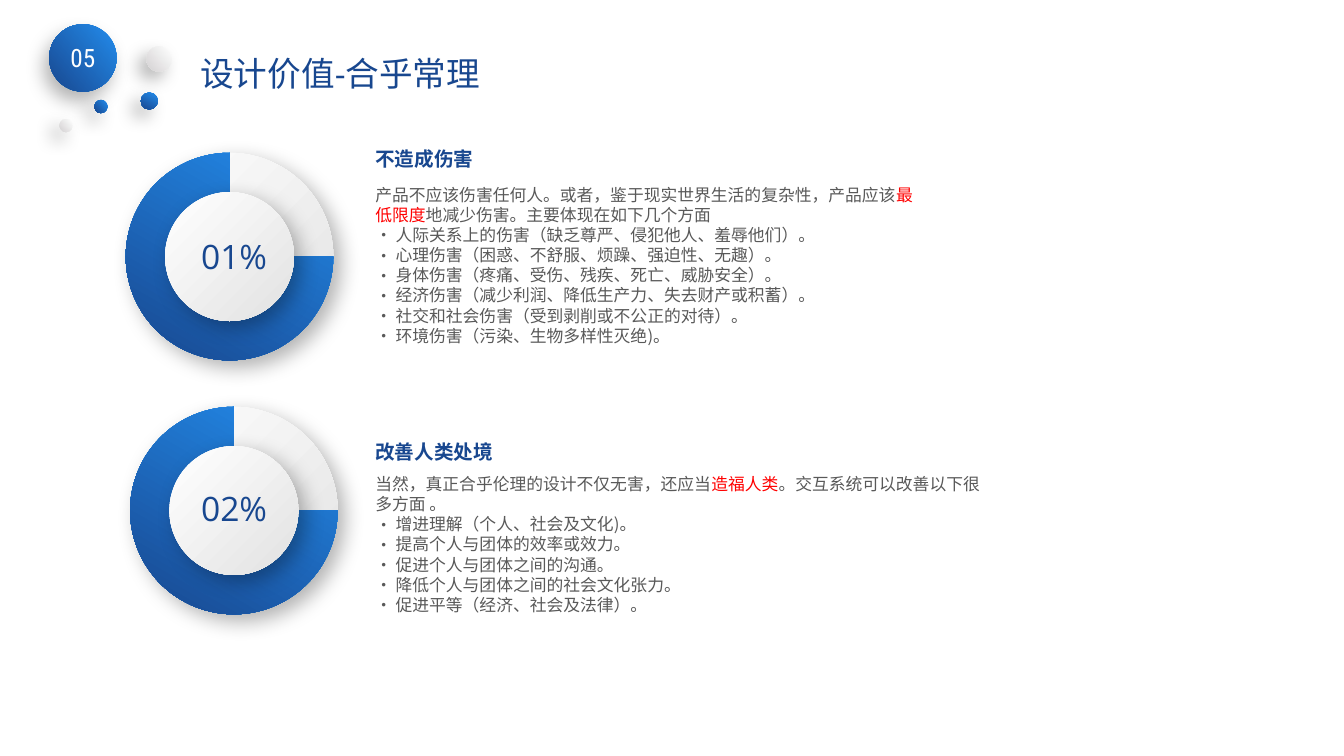
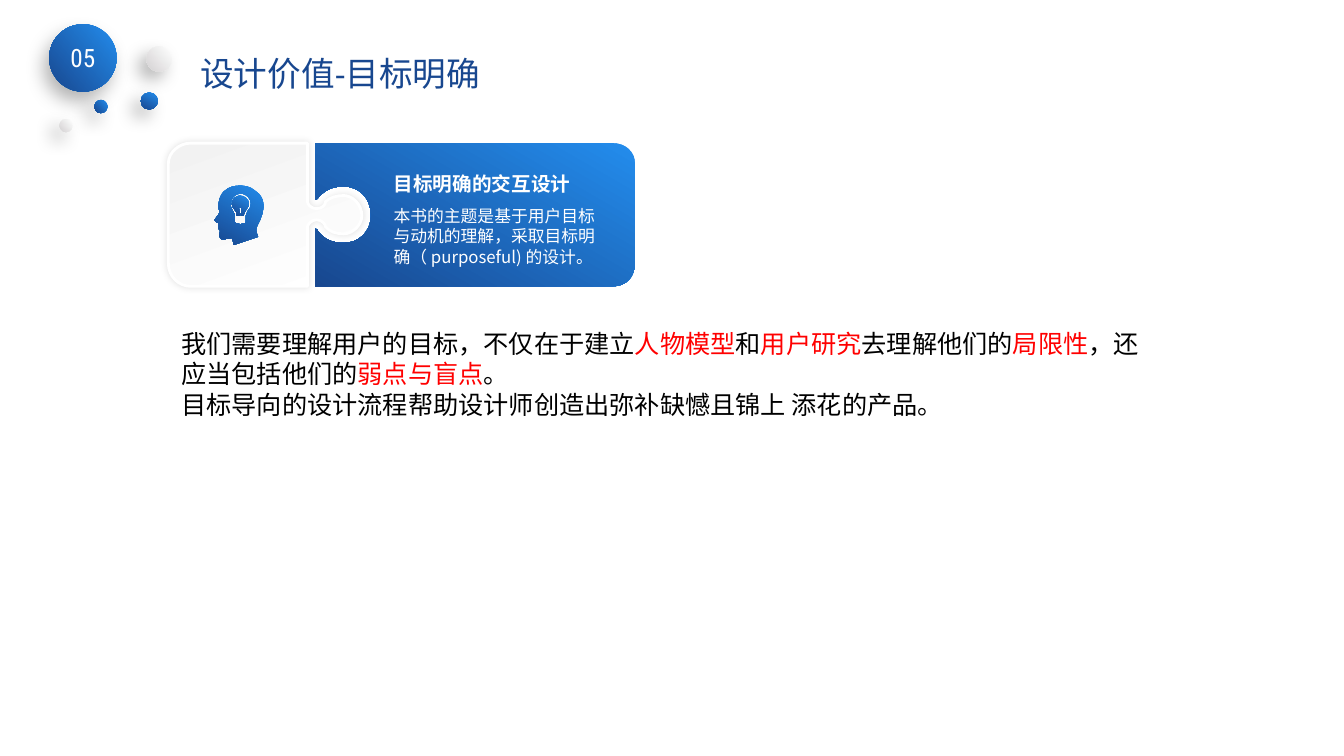
from dataclasses import dataclass

from lxml import etree
from pptx import Presentation
from pptx.dml.color import RGBColor
from pptx.enum.shapes import MSO_SHAPE
from pptx.enum.text import MSO_ANCHOR, PP_ALIGN
from pptx.oxml.ns import qn
from pptx.util import Cm, Pt

OVAL, PIE = MSO_SHAPE.OVAL, MSO_SHAPE.PIE
LEFT, CENTER, MIDDLE = PP_ALIGN.LEFT, PP_ALIGN.CENTER, MSO_ANCHOR.MIDDLE


@dataclass(frozen=True)
class Theme:
    navy: str = "18478F"
    grey: str = "595959"
    red: str = "FF0000"
    white: str = "FFFFFF"
    black: str = "000000"
    blue_fade: tuple = ("238DED", "18478F")
    dot_fade: tuple = ("FFFFFF", "D4D2D3")
    ring_fade: tuple = ("FFFFFF", "E2E2E2")
    card_fade: tuple = ("FFFFFF", "F2F2F2")
    title_font: str = "Open Sans"
    number_font: str = "Roboto Condensed"
    text_font: str = "Noto Sans CJK SC"
    body_font: str = "Calibri"
    title_size: int = 24
    body_size: int = 18
    heading_size: int = 14
    text_size: int = 12
    heading_pitch: float = 16.8
    text_pitch: float = 14.4
    card_pitch: float = 14.6


T = Theme()

SECTION = "05"
DOT_SHADOW = (30, 13, 8, 135)
RING_SHADOW = (30, 15, 7, 45)
DOTS = [
    (3.69, 1.17, 0.64, T.dot_fade, 140),
    (1.5, 3, 0.33, T.dot_fade, 140),
    (2.38, 2.52, 0.33, T.blue_fade, 140),
    (3.55, 2.33, 0.43, T.blue_fade, 120),
]

ETHICS_TITLE = "设计价值-合乎常理"
ETHICS = [
    dict(
        label="01%", ring=(3.17, 3.85), label_top=5.82,
        heading="不造成伤害", heading_box=(9.21, 3.58, 8.89, 0.69),
        text_box=(9.21, 4.52, 14.2, 4.37),
        intro=[("产品不应该伤害任何人。或者，鉴于现实世界生活的复杂性，产品应该", T.grey),
               ("最低限度", T.red),
               ("地减少伤害。主要体现在如下几个方面", T.grey)],
        points=["人际关系上的伤害（缺乏尊严、侵犯他人、羞辱他们）。",
                "心理伤害（困惑、不舒服、烦躁、强迫性、无趣）。",
                "身体伤害（疼痛、受伤、残疾、死亡、威胁安全）。",
                "经济伤害（减少利润、降低生产力、失去财产或积蓄）。",
                "社交和社会伤害（受到剥削或不公正的对待）。",
                "环境伤害（污染、生物多样性灭绝)。"],
    ),
    dict(
        label="02%", ring=(3.28, 10.25), label_top=12.17,
        heading="改善人类处境", heading_box=(9.21, 10.97, 10.21, 0.84),
        text_box=(9.21, 11.81, 15.8, 3.84),
        intro=[("当然，真正合乎伦理的设计不仅无害，还应当", T.grey),
               ("造福人类", T.red),
               ("。交互系统可以改善以下很多方面 。", T.grey)],
        points=["增进理解（个人、社会及文化)。",
                "提高个人与团体的效率或效力。",
                "促进个人与团体之间的沟通。",
                "降低个人与团体之间的社会文化张力。",
                "促进平等（经济、社会及法律）。"],
    ),
]

PURPOSE_TITLE = "设计价值-目标明确"
CARD_HEADING = "目标明确的交互设计"
CARD_TEXT = "本书的主题是基于用户目标与动机的理解，采取目标明确（ purposeful) 的设计。"
PURPOSE_BODY = [
    [("我们需要理解用户的目标，不仅在于建立", T.black), ("人物模型", T.red), ("和", T.black),
     ("用户研究", T.red), ("去理解他们的", T.black), ("局限性", T.red),
     ("，还应当包括他们的", T.black), ("弱点与盲点", T.red), ("。", T.black)],
    [("目标导向的设计流程帮助设计师创造出弥补缺憾且锦上 添花的产品。", T.black)],
]

GRID = Cm(2.54) / 100
TAB_PIECE = [[
    (305, 225), (305, 223, 309, 218, 314, 218), (320, 218, 323, 223, 323, 225),
    (327, 230, 334, 232, 341, 232), (350, 232, 359, 223, 359, 214),
    (359, 203, 350, 194, 341, 194), (334, 194, 327, 196, 323, 200),
    (323, 203, 320, 207, 314, 207), (309, 207, 305, 203, 305, 200),
    (305, 142), (189, 142), (178, 142, 167, 151, 167, 162),
    (167, 261), (167, 275, 178, 284, 189, 284), (305, 284), (305, 225),
]]
SOCKET_PIECE = [[
    (608, 142), (313, 142), (313, 198), (313, 198, 316, 198, 316, 196),
    (322, 189, 329, 185, 341, 185), (356, 185, 368, 196, 368, 214),
    (368, 230, 356, 241, 341, 241), (329, 241, 322, 237, 316, 230),
    (316, 227, 313, 227, 313, 227), (313, 284), (608, 284),
    (621, 284, 630, 275, 630, 261), (630, 162), (630, 151, 621, 142, 608, 142),
]]
BULB = [[
    (238, 194), (234, 194, 230, 198, 230, 202), (230, 204, 231, 206, 232, 207),
    (234, 209, 235, 211, 235, 213), (235, 214), (238, 214), (238, 213),
    (238, 212, 238, 209, 237, 206), (240, 206), (240, 208, 239, 210, 239, 213),
    (239, 214), (242, 214), (242, 213), (242, 211, 244, 209, 245, 207),
    (246, 206, 247, 204, 247, 202), (247, 198, 243, 194, 238, 194),
]]
HEAD = [[
    (254, 190), (249, 185, 241, 183, 231, 185), (224, 187, 218, 192, 217, 202),
    (216, 205, 217, 207, 217, 207), (217, 208, 218, 209, 218, 210), (218, 211),
    (213, 218), (213, 218, 212, 219, 213, 219), (213, 221, 216, 220, 216, 221),
    (217, 221, 217, 222, 217, 223), (217, 223, 216, 224, 217, 225), (218, 225),
    (218, 225, 217, 226, 217, 226), (217, 227, 217, 228, 218, 228),
    (218, 228, 219, 230, 218, 232), (218, 234, 217, 235, 219, 237),
    (220, 238, 226, 237, 230, 236), (230, 236, 231, 238, 232, 243),
    (256, 235), (255, 232, 254, 230, 254, 228), (254, 225, 258, 220, 260, 213),
    (262, 206, 263, 196, 254, 190),
], [
    (246, 209), (245, 211, 244, 213, 244, 214), (244, 220),
    (244, 221, 243, 222, 242, 222), (240, 222), (240, 222, 239, 223, 239, 223),
    (238, 223, 238, 222, 237, 222), (235, 222), (234, 222, 233, 221, 233, 220),
    (233, 214), (233, 213, 232, 211, 231, 209), (229, 207, 229, 205, 229, 202),
    (229, 197, 233, 192, 239, 192), (244, 192, 249, 197, 249, 202),
    (249, 205, 248, 207, 246, 209),
]]


def paint(shape, fade, angle, shadow=None, edge=None):
    shape.fill.gradient()
    shape.fill.gradient_angle = 360 - angle
    for stop, color in zip(shape.fill.gradient_stops, fade):
        stop.color.rgb = RGBColor.from_string(color)
    if edge:
        shape.line.color.rgb = RGBColor.from_string(edge)
        shape.line.width = Pt(2)
    else:
        shape.line.fill.background()
    shape.shadow.inherit = False
    if shadow:
        alpha, blur, distance, direction = shadow
        effects = shape._element.spPr.find(qn("a:effectLst"))
        outer = etree.SubElement(
            effects, qn("a:outerShdw"), blurRad=str(Pt(blur)), dist=str(Pt(distance)),
            dir=str(direction * 60000), algn="ctr", rotWithShape="0")
        color = etree.SubElement(outer, qn("a:srgbClr"), val=T.black)
        etree.SubElement(color, qn("a:alpha"), val=str(alpha * 1000))
    return shape


def add_round(slide, preset, left, top, size, fade, angle, shadow=None):
    shape = slide.shapes.add_shape(preset, Cm(left), Cm(top), Cm(size), Cm(size))
    return paint(shape, fade, angle, shadow)


def add_run(paragraph, text, color, size, font, bold=False):
    run = paragraph.add_run()
    run.text = text
    run.font.size = Pt(size)
    run.font.bold = bold
    run.font.name = font
    run.font.color.rgb = RGBColor.from_string(color)
    if font == T.text_font:
        etree.SubElement(run._r.get_or_add_rPr(), qn("a:ea"), typeface=font)


def add_bullet(paragraph):
    props = paragraph._p.get_or_add_pPr()
    props.set("marL", str(Cm(0.51)))
    props.set("indent", str(-Cm(0.51)))
    etree.SubElement(props, qn("a:buFont"), typeface=T.text_font)
    etree.SubElement(props, qn("a:buChar"), char="•")


def add_text(slide, box, paragraphs, size, font, bold=False, align=LEFT, pitch=None, bullets_from=None):
    frame = slide.shapes.add_textbox(*map(Cm, box)).text_frame
    frame.word_wrap = True
    for index, runs in enumerate(paragraphs):
        paragraph = frame.add_paragraph() if index else frame.paragraphs[0]
        paragraph.alignment = align
        if pitch:
            paragraph.line_spacing = Pt(pitch)
        if bullets_from is not None and index >= bullets_from:
            add_bullet(paragraph)
        for text, color in runs:
            add_run(paragraph, text, color, size, font, bold)


def grid_points(step):
    return [(round(x * GRID), round(y * GRID)) for x, y in zip(step[::2], step[1::2])]


def bend(shape, steps):
    lines = iter(list(shape._element.iter(qn("a:lnTo"))))
    for step in steps:
        first, *others = [next(lines) for _ in step[::2]]
        if others:
            first.tag = qn("a:cubicBezTo")
            for line in others:
                first.append(line[0])
                line.getparent().remove(line)


def add_outline(slide, contours, fade, angle, shadow=None, edge=None):
    builder = None
    for start, *steps in contours:
        origin = grid_points(start)[0]
        if builder is None:
            builder = slide.shapes.build_freeform(*origin)
        else:
            builder.move_to(*origin)
        builder.add_line_segments([point for step in steps for point in grid_points(step)], close=True)
    shape = builder.convert_to_shape()
    bend(shape, [step for contour in contours for step in contour[1:]])
    paint(shape, fade, angle, shadow, edge)


def start_slide(deck, title):
    slide = deck.slides.add_slide(deck.slide_layouts[6])
    badge = add_round(slide, OVAL, 1.24, 0.61, 1.7, T.blue_fade, 140, (30, 14, 8, 120))
    frame = badge.text_frame
    frame.margin_left = frame.margin_right = Cm(0)
    frame.vertical_anchor = MIDDLE
    frame.paragraphs[0].alignment = CENTER
    add_run(frame.paragraphs[0], SECTION, T.white, T.body_size, T.number_font)
    for dot in DOTS:
        add_round(slide, OVAL, *dot, DOT_SHADOW)
    add_text(slide, (4.8, 1.22, 10.36, 1.27), [[(title, T.navy)]], T.title_size, T.title_font)
    return slide


def add_ring(slide, left, top, outer=5.23, inner=3.25):
    inset = (outer - inner) / 2
    add_round(slide, OVAL, left, top, outer, T.ring_fade, 45, RING_SHADOW)
    add_round(slide, PIE, left, top, outer, T.blue_fade, 120)
    add_round(slide, OVAL, left + inset, top + inset, inner, T.ring_fade, 45, RING_SHADOW)


def build_ethics(deck):
    slide = start_slide(deck, ETHICS_TITLE)
    for value in ETHICS:
        add_ring(slide, *value["ring"])
        add_text(slide, (3.98, value["label_top"], 3.84, 1.27), [[(value["label"], T.navy)]],
                 T.title_size, T.title_font, align=CENTER)
        add_text(slide, value["heading_box"], [[(value["heading"], T.navy)]],
                 T.heading_size, T.text_font, bold=True, pitch=T.heading_pitch)
        points = [[(point, T.grey)] for point in value["points"]]
        add_text(slide, value["text_box"], [value["intro"], *points],
                 T.text_size, T.text_font, pitch=T.text_pitch, bullets_from=1)


def build_purpose(deck):
    slide = start_slide(deck, PURPOSE_TITLE)
    add_outline(slide, TAB_PIECE, T.card_fade, 250, (11, 5, 0, 0), T.white)
    for blue_part in (SOCKET_PIECE, BULB, HEAD):
        add_outline(slide, blue_part, T.blue_fade, 120)
    add_text(slide, (9.67, 5.05, 5.97, 1.8), [[(CARD_TEXT, T.white)]],
             T.text_size, T.text_font, pitch=T.card_pitch)
    add_text(slide, (9.67, 4.21, 6.35, 1.45), [[(CARD_HEADING, T.white)]],
             T.heading_size, T.text_font, bold=True, pitch=T.heading_pitch)
    add_text(slide, (4.32, 8.15, 24.69, 2.57), PURPOSE_BODY, T.body_size, T.body_font)


def main():
    deck = Presentation()
    deck.slide_width, deck.slide_height = Cm(33.87), Cm(19.05)
    build_ethics(deck)
    build_purpose(deck)
    deck.save("out.pptx")


if __name__ == "__main__":
    main()
